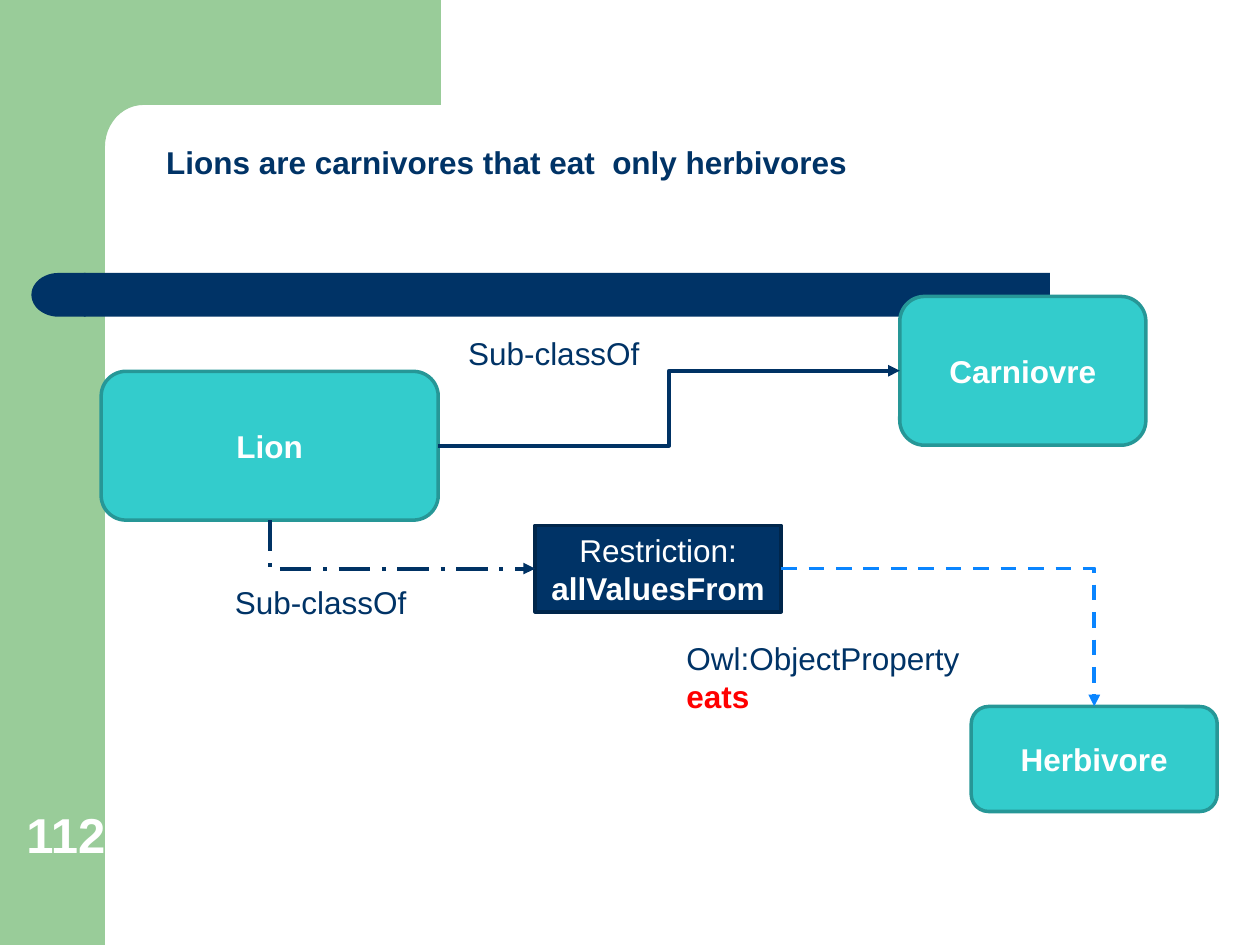
import math

import pptx
import pptx.dml.color
import pptx.enum.dml
import pptx.enum.shapes
import pptx.enum.text
import pptx.oxml
import pptx.oxml.ns
import pptx.util

Pt = pptx.util.Pt
qn = pptx.oxml.ns.qn
SHAPE = pptx.enum.shapes.MSO_SHAPE
DASH = pptx.enum.dml.MSO_LINE
ANCHOR = pptx.enum.text.MSO_ANCHOR
ALIGN = pptx.enum.text.PP_ALIGN
FIT = pptx.enum.text.MSO_AUTO_SIZE

COLORS = {
    "navy": "003366", "navy edge": "00264B", "arrow": "003264",
    "teal": "33CCCC", "teal edge": "269797", "green": "99CC99",
    "blue": "0A85FF", "red": "FF0000", "white": "FFFFFF",
}
TOP, LEFT, BOTTOM, RIGHT = range(4)  # connection sites of a rectangle


def rgb(name):
    return pptx.dml.color.RGBColor.from_string(COLORS[name])


def apply(target, values):
    for name, value in values.items():
        setattr(target, name, value)


def drawing_element(tag, attributes=""):
    return pptx.oxml.parse_xml(f'<a:{tag} {pptx.oxml.ns.nsdecls("a")} {attributes}/>')


class Diagram:
    def __init__(self, page, font="Arial", size=18):
        self.page = page
        self.font = font
        self.size = size

    def add_lines(self, frame, lines, align=ALIGN.LEFT, spacing=None):
        """Fill a frame with one paragraph per (text, color, bold, size) line."""
        for index, (text, color, bold, *size) in enumerate(lines):
            para = frame.paragraphs[0] if index == 0 else frame.add_paragraph()
            apply(para, {"alignment": align, "line_spacing": spacing})
            span = para.add_run()
            span.text = text
            apply(span.font, {"name": self.font, "bold": bold,
                              "size": Pt(size[0] if size else self.size)})
            span.font.color.rgb = rgb(color)

    def paint(self, shape, fill, edge=None):
        shape.shadow.inherit = False
        shape.fill.solid()
        shape.fill.fore_color.rgb = rgb(fill)
        if edge:
            shape.line.color.rgb = rgb(edge)
            shape.line.width = Pt(2)
        else:
            shape.line.fill.background()
        return shape

    def block(self, kind, place, fill, edge=None):
        shape = self.page.shapes.add_shape(kind, *map(Pt, place))
        return self.paint(shape, fill, edge)

    def outline(self, points, fill):
        start, *rest = [(Pt(x), Pt(y)) for x, y in points]
        builder = self.page.shapes.build_freeform(*start)
        builder.add_line_segments(rest)
        return self.paint(builder.convert_to_shape(), fill)

    def node(self, place, lines, kind=SHAPE.ROUNDED_RECTANGLE,
             fill="teal", edge="teal edge"):
        box = self.block(kind, place, fill, edge)
        apply(box.text_frame, {"word_wrap": True, "vertical_anchor": ANCHOR.MIDDLE})
        self.add_lines(box.text_frame, lines, ALIGN.CENTER)
        return box

    def label(self, place, lines, wrap=True, anchor=ANCHOR.TOP, fit=FIT.SHAPE_TO_FIT_TEXT):
        box = self.page.shapes.add_textbox(*map(Pt, place))
        apply(box.text_frame, {"word_wrap": wrap, "vertical_anchor": anchor,
                               "auto_size": fit})
        self.add_lines(box.text_frame, lines)

    def title(self, place, lines):
        box = self.page.shapes.title
        apply(box, dict(zip(("left", "top", "width", "height"), map(Pt, place))))
        apply(box.text_frame, {"word_wrap": True, "vertical_anchor": ANCHOR.TOP,
                               "auto_size": FIT.SHAPE_TO_FIT_TEXT})
        self.add_lines(box.text_frame, lines, spacing=0.8)

    def arrow(self, source, source_site, target, target_site, color,
              dash=None, bends=2):
        """Join two nodes with an elbow arrow of one or two bends."""
        link = self.page.shapes.add_connector(
            pptx.enum.shapes.MSO_CONNECTOR.ELBOW, 0, 0, 0, 0)
        link.begin_connect(source, source_site)
        link.end_connect(target, target_site)
        link.line.color.rgb = rgb(color)
        apply(link.line, {"width": Pt(2.25), "dash_style": dash})
        link.get_or_add_ln().append(drawing_element("tailEnd", 'type="triangle"'))
        properties = link._element.spPr
        properties.append(drawing_element("effectLst"))
        if bends == 1:
            properties.find(qn("a:prstGeom")).set("prst", "bentConnector2")
            if source_site == BOTTOM:
                self.start_downward(link)

    def start_downward(self, link):
        """Turn a one-bend arrow about its centre so it goes down, then right."""
        width, height = link.width, link.height
        shift = (width - height) // 2
        apply(link, {"left": link.left + shift, "top": link.top - shift,
                     "width": height, "height": width})
        frame = link._element.spPr.find(qn("a:xfrm"))
        frame.set("rot", "16200000")
        frame.set("flipH", "1")


def draw_backdrop(diagram):
    diagram.block(SHAPE.RECTANGLE, (0, 0, 60, 540), "green")
    steps = 12
    angles = [math.pi / 2 * step / steps for step in range(steps + 1)]
    corner = [(82 - 22 * math.sin(a), 84 - 24 * math.cos(a)) for a in angles]
    diagram.outline([(252, 0), (252, 60), *corner, (60, 92), (36, 92), (36, 0)],
                    "green")
    bar = diagram.block(SHAPE.ROUNDED_RECTANGLE, (48, 156, 552, 25), "navy")
    bar.adjustments[0] = 0
    cap = diagram.block(SHAPE.FLOWCHART_DELAY, (18, 156, 31, 25), "navy")
    cap._element.spPr.find(qn("a:xfrm")).set("flipH", "1")


def main():
    deck = pptx.Presentation()
    apply(deck, {"slide_width": Pt(720), "slide_height": Pt(540)})
    page = deck.slides.add_slide(deck.slide_layouts.get_by_name("Title Only"))
    diagram = Diagram(page)
    draw_backdrop(diagram)
    diagram.title((87.8, 82, 595.4, 24.5),
                  [("Lions are carnivores that eat  only herbivores", "navy", True)])
    diagram.label((8, 458.6, 65, 38.2), [("112", "white", True, 28)],
                  anchor=ANCHOR.BOTTOM, fit=FIT.NONE)

    lion = diagram.node((57.8, 212.2, 192.6, 85), [("Lion", "white", True)])
    carnivore = diagram.node((514.2, 169.4, 140.6, 85), [("Carniovre", "white", True)])
    herbivore = diagram.node((555, 403.7, 140.6, 60), [("Herbivore", "white", True)])
    restriction = diagram.node(
        (305.8, 300.2, 140.6, 49.4),
        [("Restriction:", "white", False), ("allValuesFrom", "white", True)],
        SHAPE.RECTANGLE, "navy", "navy edge")

    diagram.arrow(lion, RIGHT, carnivore, LEFT, "arrow")
    diagram.arrow(lion, BOTTOM, restriction, LEFT, "arrow", DASH.LONG_DASH_DOT, bends=1)
    diagram.arrow(restriction, RIGHT, herbivore, TOP, "blue", DASH.DASH, bends=1)

    for left, top in ((260.4, 187.4), (127.2, 329.8)):
        diagram.label((left, top, 113.6, 29), [("Sub-classOf", "navy", False)], wrap=False)
    diagram.label((385.2, 361.5, 172, 51),
                  [("Owl:ObjectProperty", "navy", False), ("eats", "red", True)])
    deck.save("out.pptx")


if __name__ == "__main__":
    main()
